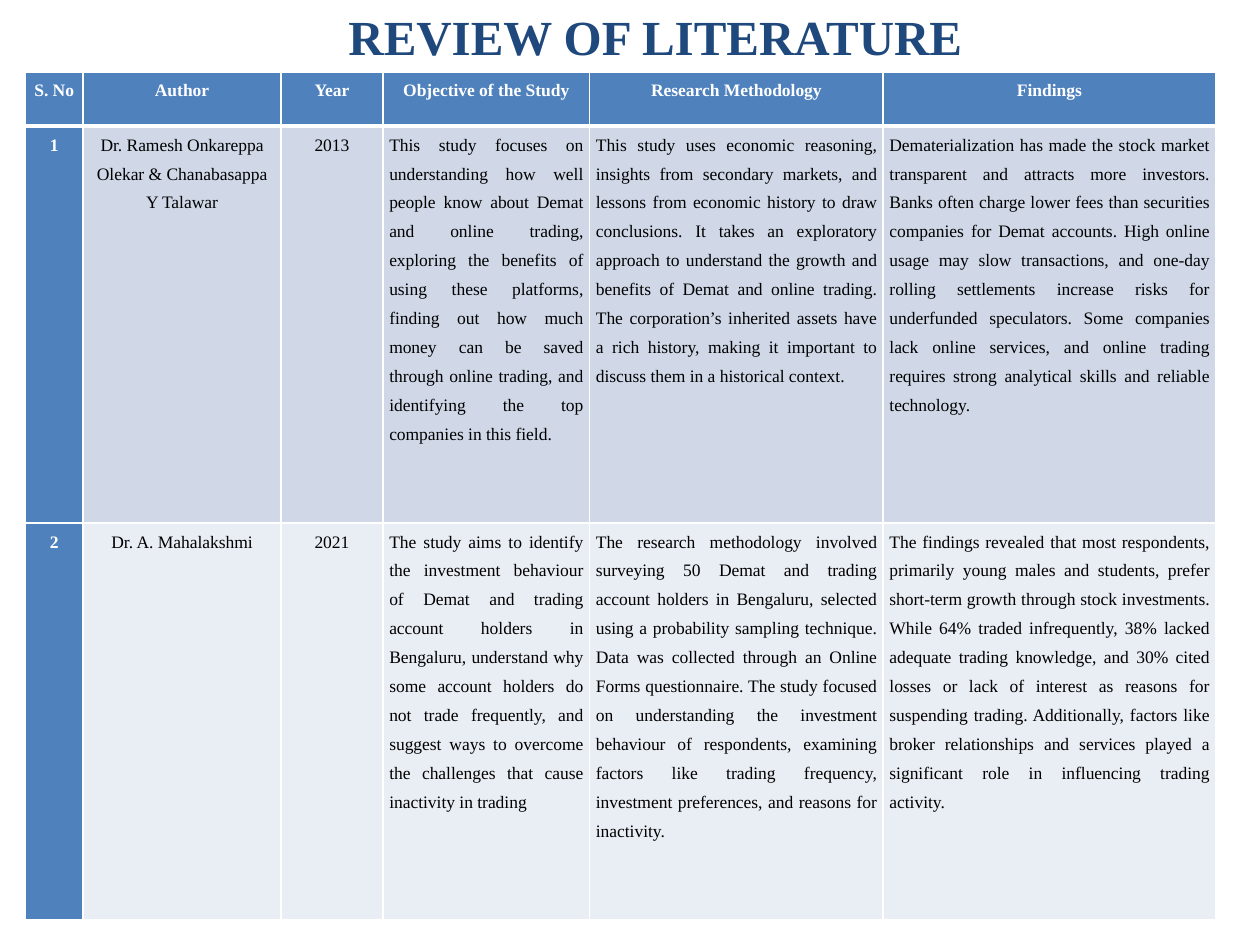
"""Build a slide with a table that reviews past studies."""
from dataclasses import dataclass

from lxml.etree import SubElement
from pptx import Presentation
from pptx.dml.color import RGBColor
from pptx.enum.text import MSO_ANCHOR, MSO_AUTO_SIZE, PP_ALIGN
from pptx.oxml.ns import qn
from pptx.util import Inches, Pt


@dataclass(frozen=True)
class Theme:
    font: str = "Times New Roman"
    navy: str = "1F497D"
    blue: str = "4F81BD"
    white: str = "FFFFFF"
    black: str = "000000"
    bands: tuple = ("D0D8E8", "E9EDF4")
    large: int = 28
    small: int = 10
    thin: int = 1
    thick: int = 3


WIDTHS = (0.46, 1.57, 0.81, 1.64, 2.33, 2.64)
HEIGHTS = (0.43, 3.15, 3.15)
ROWS = (
    ("S. No", "Author", "Year", "Objective of the Study",
     "Research Methodology", "Findings"),
    ("1", "Dr. Ramesh Onkareppa Olekar & Chanabasappa Y Talawar", "2013",
     "This study focuses on understanding how well people know about Demat "
     "and online trading, exploring the benefits of using these platforms, "
     "finding out how much money can be saved through online trading, and "
     "identifying the top companies in this field.",
     "This study uses economic reasoning, insights from secondary markets, "
     "and lessons from economic history to draw conclusions. It takes an "
     "exploratory approach to understand the growth and benefits of Demat "
     "and online trading. The corporation’s inherited assets have a rich "
     "history, making it important to discuss them in a historical context.",
     "Dematerialization has made the stock market transparent and attracts "
     "more investors. Banks often charge lower fees than securities "
     "companies for Demat accounts. High online usage may slow "
     "transactions, and one-day rolling settlements increase risks for "
     "underfunded speculators. Some companies lack online services, and "
     "online trading requires strong analytical skills and reliable "
     "technology."),
    ("2", "Dr. A. Mahalakshmi", "2021",
     "The study aims to identify the investment behaviour of Demat and "
     "trading account holders in Bengaluru, understand why some account "
     "holders do not trade frequently, and suggest ways to overcome the "
     "challenges that cause inactivity in trading",
     "The research methodology involved surveying 50 Demat and trading "
     "account holders in Bengaluru, selected using a probability sampling "
     "technique. Data was collected through an Online Forms questionnaire. "
     "The study focused on understanding the investment behaviour of "
     "respondents, examining factors like trading frequency, investment "
     "preferences, and reasons for inactivity.",
     "The findings revealed that most respondents, primarily young males "
     "and students, prefer short-term growth through stock investments. "
     "While 64% traded infrequently, 38% lacked adequate trading knowledge, "
     "and 30% cited losses or lack of interest as reasons for suspending "
     "trading. Additionally, factors like broker relationships and services "
     "played a significant role in influencing trading activity."),
)


def write(frame, text, *, font, size, color, bold=False,
          align=PP_ALIGN.CENTER, lead=1.0, after=0):
    par = frame.paragraphs[0]
    par.alignment = align
    par.line_spacing = lead
    par.space_before = Pt(0)
    par.space_after = Pt(after)
    run = par.add_run()
    run.text = text
    run.font.name = font
    run.font.size = Pt(size)
    run.font.bold = bold
    run.font.color.rgb = RGBColor.from_string(color)


class Page:
    def __init__(self, slide, theme):
        self.slide = slide
        self.theme = theme

    def title(self, text, left, top, width, height):
        look = self.theme
        shape = self.slide.shapes.title
        shape.left, shape.top = Inches(left), Inches(top)
        shape.width, shape.height = Inches(width), Inches(height)
        frame = shape.text_frame
        frame.word_wrap = False
        frame.auto_size = MSO_AUTO_SIZE.SHAPE_TO_FIT_TEXT
        frame.vertical_anchor = MSO_ANCHOR.TOP
        write(frame, text, font=look.font, size=look.large,
              color=look.navy, bold=True)

    def table(self, rows, left, top, widths, heights):
        grid = self.slide.shapes.add_table(
            len(rows), len(widths), Inches(left), Inches(top),
            Inches(sum(widths)), Inches(sum(heights))).table
        for col, width in zip(grid.columns, widths):
            col.width = Inches(width)
        for row, height in zip(grid.rows, heights):
            row.height = Inches(height)
        for r, texts in enumerate(rows):
            for c, text in enumerate(texts):
                self.cell(grid.cell(r, c), text, r, c)

    def cell(self, cell, text, row, col):
        look = self.theme
        head = row == 0 or col == 0
        cell.margin_left = cell.margin_right = Inches(0.05)
        cell.margin_top = cell.margin_bottom = 0
        self.edges(cell, row)
        cell.fill.solid()
        shade = look.blue if head else look.bands[row - 1]
        cell.fill.fore_color.rgb = RGBColor.from_string(shade)
        prose = row > 0 and col > 2
        write(cell.text_frame, text, font=look.font, size=look.small,
              color=look.white if head else look.black, bold=head,
              align=PP_ALIGN.JUSTIFY if prose else PP_ALIGN.CENTER,
              lead=1.5, after=8)

    def edges(self, cell, row):
        look = self.theme
        heavy = {0: "B", 1: "T"}.get(row)
        props = cell._tc.get_or_add_tcPr()
        for side in "LRTB":
            width = look.thick if side == heavy else look.thin
            line = SubElement(props, qn(f"a:ln{side}"), w=str(Pt(width)))
            fill = SubElement(line, qn("a:solidFill"))
            SubElement(fill, qn("a:srgbClr"), val=look.white)


def main():
    deck = Presentation()
    deck.slide_width, deck.slide_height = Inches(10), Inches(7.5)
    page = Page(deck.slides.add_slide(deck.slide_layouts[5]), Theme())
    page.title("REVIEW OF LITERATURE", 2.64, 0, 5.12, 0.57)
    page.table(ROWS, 0.2, 0.57, WIDTHS, HEIGHTS)
    deck.save("out.pptx")


if __name__ == "__main__":
    main()
